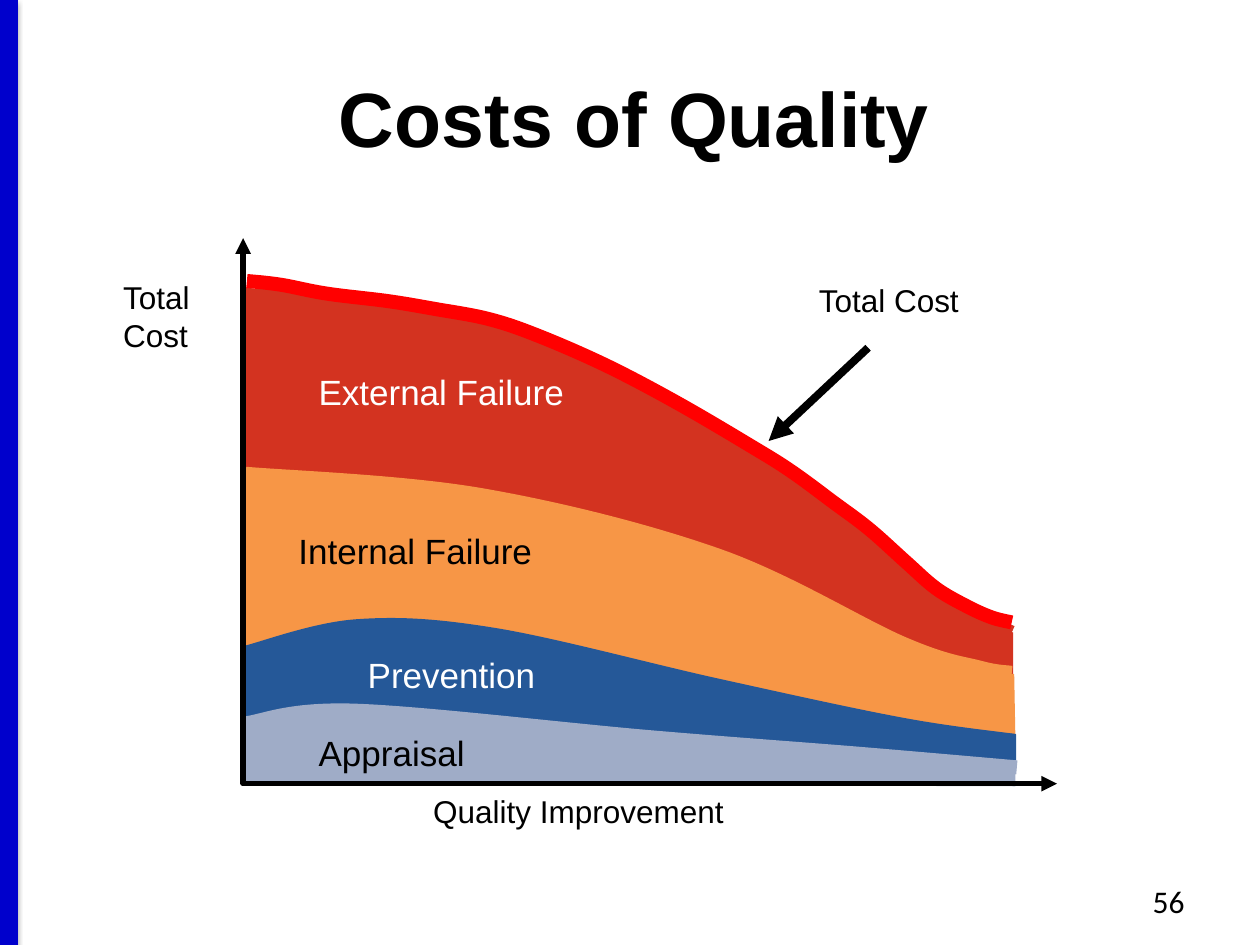
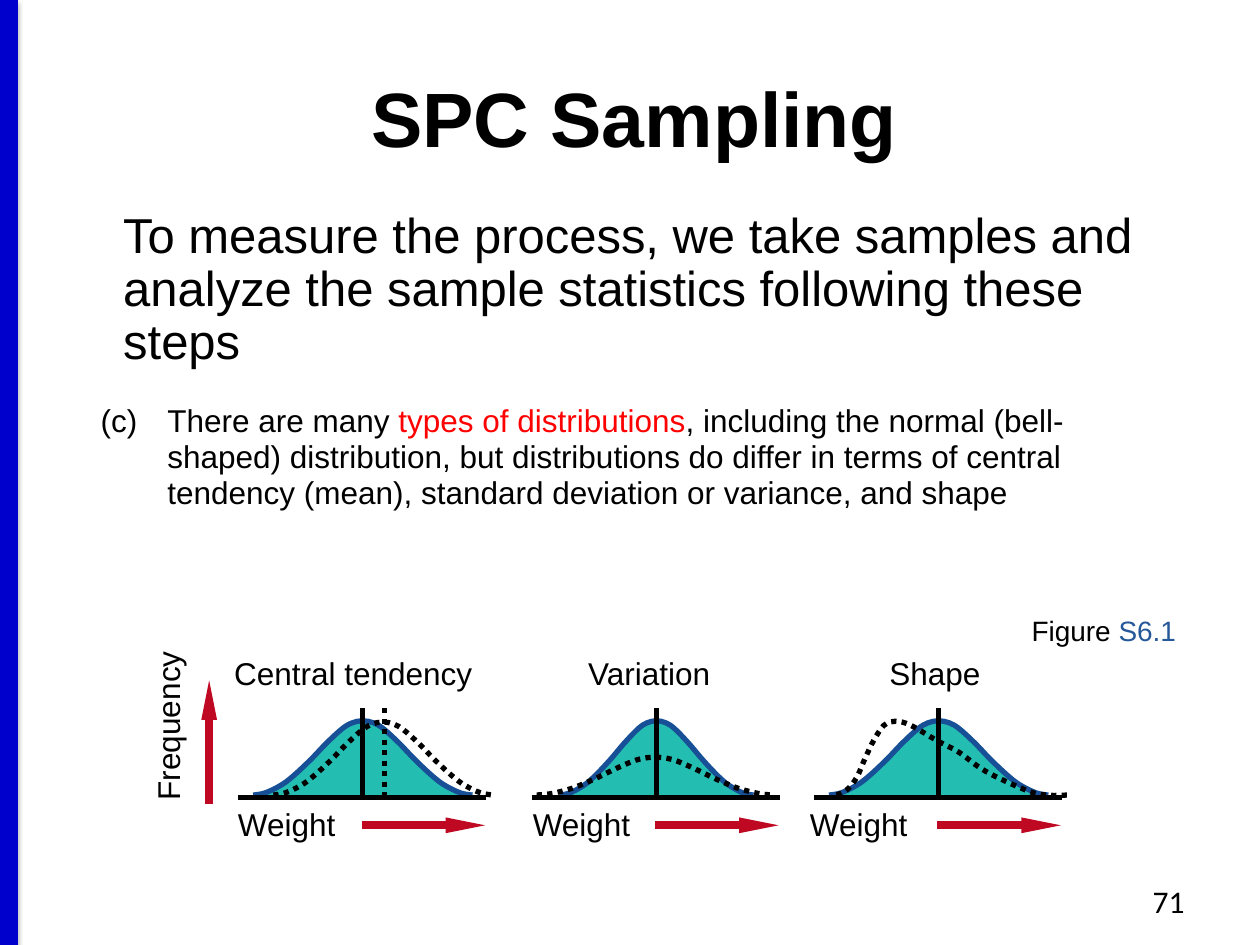
from lxml import etree
from pptx import Presentation
from pptx.dml.color import RGBColor
from pptx.enum.dml import MSO_LINE
from pptx.enum.shapes import MSO_CONNECTOR, MSO_SHAPE
from pptx.enum.text import MSO_ANCHOR, MSO_AUTO_SIZE, PP_ALIGN
from pptx.oxml import parse_xml
from pptx.oxml.ns import nsdecls, qn
from pptx.util import Inches, Pt

BLACK, WHITE, RED = "000000", "FFFFFF", "FF0000"
STRIPE, ARROW_RED = "0000CC", "BF0922"
EXTERNAL, INTERNAL, BLUE, APPRAISAL = "D33320", "F79646", "255898", "9FACC7"
BELL_FILL, BELL_LINE = "24BDB2", "175097"

# Half of a bell: share of the half width, share of the height
BELL_PROFILE = [(0, 1), (0.1, 0.97), (0.19, 0.89), (0.33, 0.7), (0.48, 0.47),
                (0.64, 0.25), (0.75, 0.13), (0.89, 0.03), (1, 0)]

AXIS_LEFT, AXIS_TOP, AXIS_BOTTOM, AXIS_RIGHT = 1.93, 1.89, 6.22, 8.39

TOTAL_COST = [(1.96, 2.23), (2.23, 2.26), (2.59, 2.33), (3.08, 2.39), (3.44, 2.45),
              (3.87, 2.53), (4.26, 2.66), (4.81, 2.9), (5.38, 3.2), (5.96, 3.54),
              (6.28, 3.74), (6.62, 3.99), (6.9, 4.2), (7.19, 4.46), (7.43, 4.67),
              (7.67, 4.81), (7.87, 4.9), (8.03, 4.94)]

EXTERNAL_EDGE = [(2.04, 2.3), (2.31, 2.34), (4.2, 2.7), (6.25, 3.79), (7.45, 4.75),
                 (8.03, 5.02)]
EXTERNAL_BODY = [(1.94, 2.28), (1.94, 3.78), (4.16, 4.17), (6.43, 4.9), (7.8, 5.35),
                 (8.04, 5.38), (8.04, 5.02), (7.79, 4.94), (7.64, 4.89), (7.29, 4.64),
                 (6.95, 4.32), (6.64, 4.06), (6.1, 3.7), (5.45, 3.31), (4.81, 2.96),
                 (4.13, 2.65), (3.78, 2.57), (3.22, 2.46), (2.6, 2.36), (2.29, 2.33)]
INTERNAL_EDGE = [(1.95, 3.76), (3.82, 3.93), (5.7, 4.41), (7.17, 5.11), (7.78, 5.3),
                 (8.03, 5.34)]
INTERNAL_BODY = [(1.93, 3.74), (1.93, 5.19), (4.73, 5.41), (7.21, 5.85), (8.06, 5.9),
                 (8.05, 5.35), (7.76, 5.31), (6.98, 5.02), (6.24, 4.62), (5.57, 4.32),
                 (4.3, 4.02), (3.53, 3.88), (2.62, 3.81)]
PREVENTION_EDGE = [(1.95, 5.18), (2.83, 4.97), (3.93, 5.04), (5.69, 5.44), (7.15, 5.75),
                   (8.05, 5.88)]
PREVENTION_BODY = [(1.93, 5.17), (1.93, 5.79), (7.44, 6.06), (8.06, 6.04), (8.06, 5.83),
                   (7.79, 5.82), (7.09, 5.75), (6.07, 5.54), (5.15, 5.32), (4.13, 5.06),
                   (3.47, 4.98), (2.73, 5.02), (2.32, 5.06)]
APPRAISAL_EDGE = [(1.95, 5.74), (2.82, 5.64), (5.15, 5.85), (6.79, 5.98), (8.07, 6.09)]
APPRAISAL_BODY = [(1.93, 5.73), (1.93, 6.22), (8.06, 6.24), (8.06, 6.08), (7.3, 6.03),
                  (5.81, 5.9), (4.25, 5.8), (3.02, 5.72), (2.51, 5.72), (2.15, 5.73)]

SKEWED_CURVE = [(6.64, 6.31), (6.72, 6.27), (6.8, 6.17), (6.87, 6.01), (6.95, 5.85),
                (7.04, 5.74), (7.19, 5.74), (7.44, 5.88), (7.61, 5.97), (7.82, 6.12),
                (8.14, 6.27), (8.3, 6.31), (8.48, 6.31)]


def color(hex_string):
    return RGBColor.from_string(hex_string)


def fill_shape(shape, fill):
    if fill:
        shape.fill.solid()
        shape.fill.fore_color.rgb = color(fill)
    else:
        shape.fill.background()


def format_line(shape, line, weight, dotted=False):
    shape.line.color.rgb = color(line)
    shape.line.width = Pt(weight)
    if dotted:
        shape.line.dash_style = MSO_LINE.ROUND_DOT


def add_arrowhead(shape, end="tailEnd", width="med", length="med"):
    line = shape.element.spPr.find(qn("a:ln"))
    etree.SubElement(line, qn(f"a:{end}"), type="triangle", w=width, len=length)


def add_line(slide, start, end, line=BLACK, weight=3, dotted=False, effects=""):
    connector = slide.shapes.add_connector(
        MSO_CONNECTOR.STRAIGHT, *[Inches(value) for value in (*start, *end)])
    format_line(connector, line, weight, dotted)
    connector.element.spPr.append(
        parse_xml(f"<a:effectLst {nsdecls('a')}>{effects}</a:effectLst>"))
    return connector


def add_outline(slide, points, fill=None, line=None, weight=3, dotted=False, close=False):
    corners = [(Inches(x), Inches(y)) for x, y in points]
    builder = slide.shapes.build_freeform(*corners[0])
    builder.add_line_segments(corners[1:], close=close)
    shape = builder.convert_to_shape()
    shape.shadow.inherit = False
    fill_shape(shape, fill)
    if line:
        format_line(shape, line, weight, dotted)
    else:
        shape.line.fill.background()
    return shape


def add_curve(slide, points, **line_format):
    """Draw an outline whose straight segments become Catmull-Rom Bézier curves."""
    shape = add_outline(slide, points, **line_format)
    nodes = [(int(point.get("x")), int(point.get("y")))
             for point in shape.element.iter(qn("a:pt"))]
    padded = [nodes[0], *nodes, nodes[-1]]
    segments = list(shape.element.iter(qn("a:lnTo")))
    for segment, a, b, c, d in zip(segments, padded, padded[1:], padded[2:], padded[3:]):
        first_control = [q + (r - p) // 6 for p, q, r in zip(a, b, c)]
        second_control = [r - (s - q) // 6 for q, r, s in zip(b, c, d)]
        bezier = etree.Element(qn("a:cubicBezTo"))
        for x, y in (first_control, second_control, c):
            etree.SubElement(bezier, qn("a:pt"), x=str(x), y=str(y))
        segment.getparent().replace(segment, bezier)
    return shape


def write_text(shape, parts, size=18, font="Arial", bold=False, align=PP_ALIGN.LEFT,
               spacing=None, hanging=None):
    """Fill the first paragraph with (text, colour) parts."""
    paragraph = shape.text_frame.paragraphs[0]
    paragraph.alignment = align
    if spacing:
        paragraph.line_spacing = spacing
    if hanging:
        properties = paragraph._p.get_or_add_pPr()
        properties.set("marL", str(Inches(hanging)))
        properties.set("indent", str(-Inches(hanging)))
    for text, text_color in parts:
        run = paragraph.add_run()
        run.text = text
        run.font.name = font
        run.font.size = Pt(size)
        run.font.bold = bold
        run.font.color.rgb = color(text_color)


def add_text(slide, text, left, top, width, height=0.4, fill=BLACK, panel=None,
             wrap=False, rotation=0, **text_format):
    """Add a text box, or a filled rectangle when a panel colour is given."""
    frame = [Inches(value) for value in (left, top, width, height)]
    if panel:
        box = slide.shapes.add_shape(MSO_SHAPE.RECTANGLE, *frame)
        box.shadow.inherit = False
        fill_shape(box, panel)
        box.line.fill.background()
    else:
        box = slide.shapes.add_textbox(*frame)
    box.rotation = rotation
    box.text_frame.word_wrap = wrap
    box.text_frame.auto_size = MSO_AUTO_SIZE.SHAPE_TO_FIT_TEXT
    write_text(box, [(text, fill)] if isinstance(text, str) else text, **text_format)


def add_master_stripe(presentation, slide):
    """Draw the left stripe, then move it to the back of the slide master."""
    shadow = (f'<a:outerShdw blurRad="{Pt(3.1)}" dist="{Pt(1.6)}" dir="5400000" '
              f'rotWithShape="0"><a:srgbClr val="{BLACK}"><a:alpha val="38000"/>'
              '</a:srgbClr></a:outerShdw>')
    stripe = add_line(slide, (0.07, 0), (0.07, 7.5), STRIPE, 10, effects=shadow)
    stripe.element.nvCxnSpPr.cNvPr.set("id", "20")
    presentation.slide_master.shapes._spTree.insert(2, stripe.element)


def add_base_slide(presentation, title_text, number):
    slide = presentation.slides.add_slide(presentation.slide_layouts[5])
    title = slide.shapes.title
    title.left, title.top = Inches(0.07), Inches(0.3)
    title.width, title.height = Inches(9.93), Inches(1.25)
    title.text_frame.vertical_anchor = MSO_ANCHOR.MIDDLE
    write_text(title, [(title_text, BLACK)], size=44, bold=True, align=PP_ALIGN.CENTER)
    add_text(slide, number, 7.17, 6.95, 2.33, wrap=True, font="Calibri",
             align=PP_ALIGN.RIGHT)
    return slide


def add_cost_label(slide, text, left, top, width, **label_format):
    add_text(slide, text, left, top, width, 0.44, size=20, **label_format)


def build_costs_slide(presentation):
    slide = add_base_slide(presentation, "Costs of Quality", "56")
    add_master_stripe(presentation, slide)

    add_curve(slide, EXTERNAL_EDGE, line=EXTERNAL, weight=8)
    add_outline(slide, EXTERNAL_BODY, fill=EXTERNAL, close=True)
    add_cost_label(slide, "External Failure", 2.43, 2.89, 2.17, fill=WHITE)
    add_text(slide, "Total Cost", 6.4, 2.18, 1.32)
    add_arrowhead(add_line(slide, (6.89, 2.76), (6.1, 3.5), weight=4.5))
    add_curve(slide, TOTAL_COST, line=RED, weight=8)

    add_outline(slide, INTERNAL_BODY, fill=INTERNAL, close=True)
    add_curve(slide, INTERNAL_EDGE, line=INTERNAL, weight=8)
    add_cost_label(slide, "Internal Failure", 2.27, 4.15, 2.07)

    add_curve(slide, PREVENTION_EDGE, fill=BLUE, line=BLUE, weight=8)
    add_outline(slide, PREVENTION_BODY, fill=BLUE, line=BLUE, weight=0.75, close=True)
    add_cost_label(slide, "Prevention", 2.82, 5.13, 1.54, fill=WHITE, panel=BLUE)

    add_curve(slide, APPRAISAL_EDGE, fill=APPRAISAL, line=APPRAISAL, weight=8)
    add_outline(slide, APPRAISAL_BODY, fill=APPRAISAL, close=True)
    add_cost_label(slide, "Appraisal", 2.43, 5.75, 1.39, panel=APPRAISAL)

    add_text(slide, "Total Cost", 0.88, 2.16, 1.03, 0.71, wrap=True)
    add_text(slide, "Quality Improvement", 3.34, 6.24, 2.53)
    axes = add_outline(slide, [(AXIS_LEFT, AXIS_TOP), (AXIS_LEFT, AXIS_BOTTOM),
                               (AXIS_RIGHT, AXIS_BOTTOM)], line=BLACK)
    add_arrowhead(axes, "headEnd")
    add_arrowhead(axes, "tailEnd")


def bell(center, half_width, height, base=6.31):
    left = [(center - x * half_width, base - y * height) for x, y in BELL_PROFILE]
    right = [(center + x * half_width, base - y * height) for x, y in BELL_PROFILE]
    return left[:0:-1] + right


def add_red_arrow(slide, start, end):
    arrow = add_line(slide, start, end, ARROW_RED, 4.5)
    add_arrowhead(arrow, width="sm", length="lg")


def add_distribution(slide, name, name_left, name_width, center, half_width,
                     weight_left, dotted_curve):
    add_curve(slide, bell(center, half_width, 0.59), fill=BELL_FILL, line=BELL_LINE)
    add_text(slide, "Weight", weight_left, 6.36, 0.98, 0.39, spacing=0.96)
    add_red_arrow(slide, (center - 0.01, 6.55), (center + 0.97, 6.55))
    add_line(slide, (center, 5.62), (center, 6.32))
    add_line(slide, (center - 0.99, 6.33), (center + 0.98, 6.33))
    add_curve(slide, dotted_curve, line=BLACK, dotted=True)
    add_text(slide, name, name_left, 5.16, name_width, 0.39, spacing=0.96)


def build_sampling_slide(presentation):
    slide = add_base_slide(presentation, "SPC Sampling", "71")
    add_text(slide, [
        ("(c)\tThere are many ", BLACK),
        ("types of distributions", RED),
        (", including the normal (bell-shaped) distribution, but distributions do differ "
         "in terms of central tendency (mean), standard deviation or variance, and shape",
         BLACK),
    ], 0.7, 3.15, 8.41, 0.98, wrap=True, spacing=0.96, hanging=0.53)

    add_distribution(slide, "Central tendency", 1.76, 2.11, 2.88, 0.87, 1.79,
                     bell(3.04, 0.87, 0.58))
    add_line(slide, (3.05, 5.62), (3.05, 6.32), dotted=True)
    add_distribution(slide, "Variation", 4.57, 1.19, 5.21, 0.77, 4.13,
                     bell(5.2, 0.94, 0.3))
    add_distribution(slide, "Shape", 6.96, 0.93, 7.45, 0.87, 6.33, SKEWED_CURVE)
    add_red_arrow(slide, (1.66, 6.38), (1.66, 5.4))
    add_text(slide, "Frequency", 0.65, 5.56, 1.39, 0.39, rotation=270, spacing=0.96)

    add_text(slide, [("Figure ", BLACK), ("S6.1", BLUE)], 8.09, 4.84, 1.36, 0.36,
             size=16, spacing=0.96)
    add_text(slide, "To measure the process, we take samples and analyze the sample "
             "statistics following these steps", 0.88, 1.63, 8.24, 1.38, wrap=True,
             size=28, spacing=0.9)


def main():
    presentation = Presentation()
    presentation.slide_width, presentation.slide_height = Inches(10), Inches(7.5)
    build_costs_slide(presentation)
    build_sampling_slide(presentation)
    presentation.save("out.pptx")


if __name__ == "__main__":
    main()
